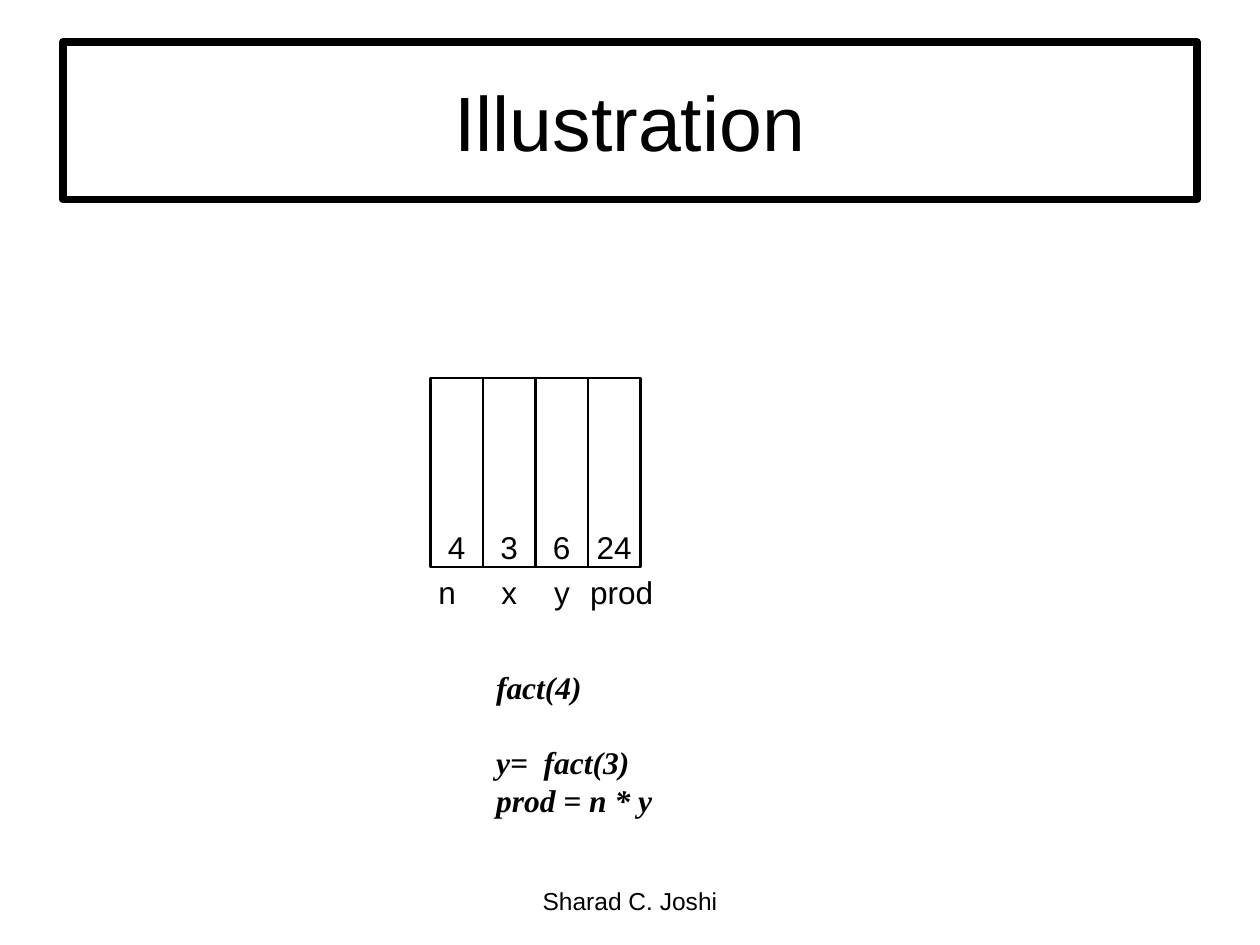
from pptx import Presentation
from pptx.dml.color import RGBColor
from pptx.enum.shapes import MSO_SHAPE
from pptx.enum.text import MSO_ANCHOR, PP_ALIGN
from pptx.util import Pt

BLACK = "000000"
TITLE = "Illustration"
AUTHOR = "Sharad C. Joshi"
CELLS = ["4", "3", "6", "24"]
# name, left, width
LABELS = [("n", 243.4, 24.5), ("x", 279.4, 23), ("y", 309.6, 23), ("prod", 330.2, 50.4)]
# line, space before
CODE = [("fact(4)", 0), ("y=  fact(3)", 21.6), ("prod = n * y", 0)]
LEFT, TOP, WIDE, HIGH = 246, 216, 30, 108
LEAD = 21.6


def paint(text):
    return RGBColor.from_string(text)


def write(shape, lines, size=18, font="Arial", align=PP_ALIGN.LEFT,
          anchor=MSO_ANCHOR.TOP, wrap=False, pad=3.6, lead=None, bold=False):
    """Fill a shape with (text, space before) lines; bold text is italic too."""
    frame = shape.text_frame
    frame.word_wrap = wrap
    frame.vertical_anchor = anchor
    frame.margin_left = frame.margin_right = Pt(7.2)
    frame.margin_top = frame.margin_bottom = Pt(pad)
    for i, (text, gap) in enumerate(lines):
        para = frame.add_paragraph() if i else frame.paragraphs[0]
        para.alignment = align
        if gap:
            para.space_before = Pt(gap)
        if lead:
            para.line_spacing = Pt(lead)
        run = para.add_run()
        run.text = text
        run.font.size = Pt(size)
        run.font.name = font
        run.font.bold = run.font.italic = bold
        run.font.color.rgb = paint(BLACK)


def frame_box(slide, x, y, w, h, line):
    """Add an unfilled rectangle with a black outline."""
    box = slide.shapes.add_shape(MSO_SHAPE.RECTANGLE, Pt(x), Pt(y), Pt(w), Pt(h))
    box.shadow.inherit = False
    box.fill.background()
    box.line.color.rgb = paint(BLACK)
    box.line.width = Pt(line)
    return box


def text_box(slide, x, y, w, h):
    return slide.shapes.add_textbox(Pt(x), Pt(y), Pt(w), Pt(h))


def main():
    deck = Presentation()
    deck.slide_width, deck.slide_height = Pt(720), Pt(540)
    slide = deck.slides.add_slide(deck.slide_layouts[6])

    write(frame_box(slide, 36, 24, 648, 90, 4.5), [(TITLE, 0)], size=44,
          align=PP_ALIGN.CENTER, anchor=MSO_ANCHOR.MIDDLE, wrap=True)
    for i, value in enumerate(CELLS):
        cell = frame_box(slide, LEFT + i * WIDE, TOP, WIDE, HIGH, 1.5)
        write(cell, [(value, 0)], align=PP_ALIGN.CENTER,
              anchor=MSO_ANCHOR.BOTTOM, pad=0.72)
    for name, x, w in LABELS:
        write(text_box(slide, x, TOP + HIGH, w, 28.8), [(name, 0)], lead=LEAD)
    write(text_box(slide, 276.4, 378, 103.7, 93.6), CODE,
          font="Times New Roman", bold=True, lead=LEAD)
    write(text_box(slide, 246, 502.5, 228, 37.5), [(AUTHOR, 0)], size=14,
          align=PP_ALIGN.CENTER, wrap=True)
    deck.save("out.pptx")


if __name__ == "__main__":
    main()
